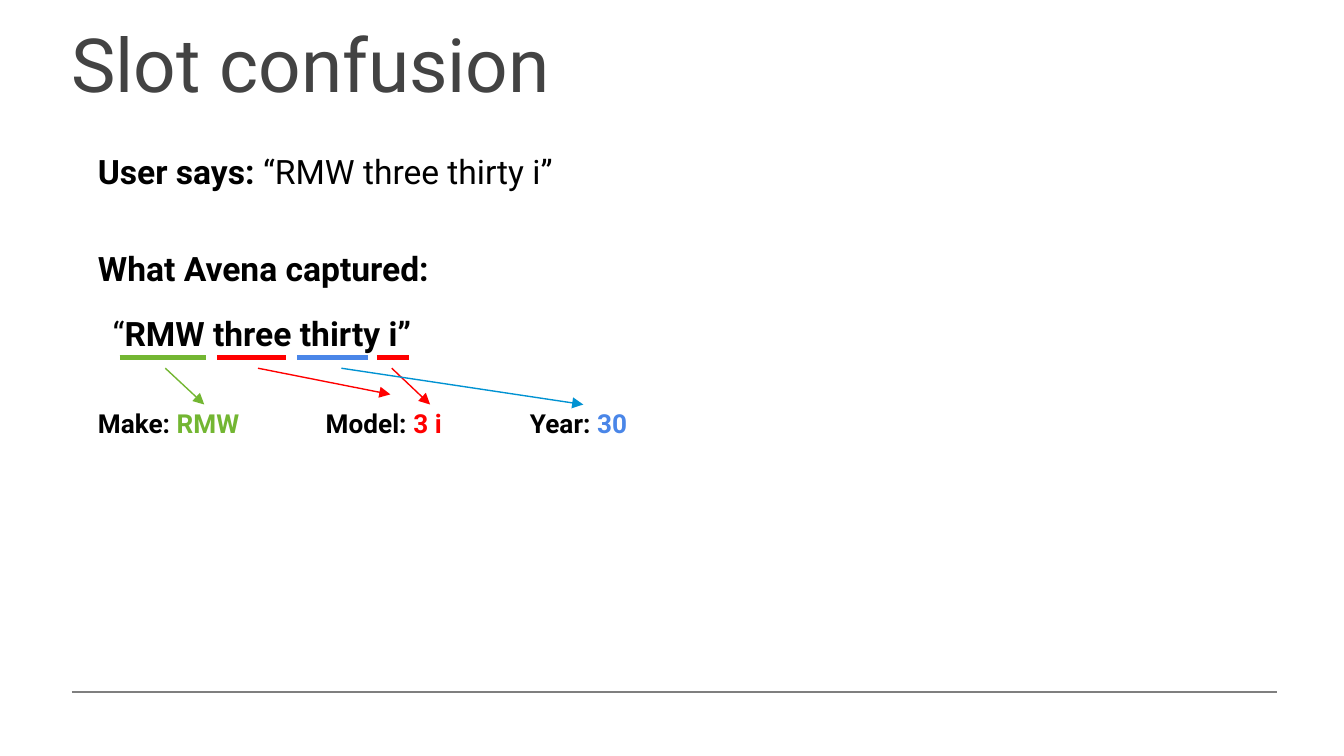
from typing import NamedTuple

import pptx
import pptx.dml.color
import pptx.enum.shapes
import pptx.enum.text
import pptx.oxml.ns
import pptx.util

PX = 4572  # EMU per px, 200 px to the inch
FONT = "Roboto"
BLACK, GREEN, RED, BLUE = "000000", "73B632", "FF0000", "4A86E8"
CYAN, TITLE_GREY, RULE_GREY = "0092D2", "434343", "7F7F7F"


class Run(NamedTuple):
    text: str
    bold: bool = True
    color: str = BLACK


class Label(NamedTuple):
    left: int
    top: int
    width: int
    height: int
    size: int
    runs: list[Run]
    inset_y: int = 20
    anchor: pptx.enum.text.MSO_ANCHOR = pptx.enum.text.MSO_ANCHOR.TOP


class Line(NamedTuple):
    x1: int
    y1: int
    x2: int
    y2: int
    color: str
    weight: float = 0.75
    arrow: bool = False


def px(length: int) -> int:
    return length * PX


def rgb(color: str) -> pptx.dml.color.RGBColor:
    return pptx.dml.color.RGBColor.from_string(color)


def draw_label(slide, label: Label) -> None:
    box = slide.shapes.add_textbox(
        px(label.left), px(label.top), px(label.width), px(label.height))
    frame = box.text_frame
    frame.word_wrap = True
    frame.vertical_anchor = label.anchor
    frame.margin_left = frame.margin_right = px(20)
    frame.margin_top = frame.margin_bottom = px(label.inset_y)
    for part in label.runs:
        run = frame.paragraphs[0].add_run()
        run.text = part.text
        run.font.name = FONT
        run.font.size = pptx.util.Pt(label.size)
        run.font.bold = part.bold
        run.font.color.rgb = rgb(part.color)


def draw_line(slide, line: Line) -> None:
    connector = slide.shapes.add_connector(
        pptx.enum.shapes.MSO_CONNECTOR.STRAIGHT,
        px(line.x1), px(line.y1), px(line.x2), px(line.y2))
    connector.line.color.rgb = rgb(line.color)
    connector.line.width = pptx.util.Pt(line.weight)
    if line.arrow:
        outline = connector.line._get_or_add_ln()
        outline.append(outline.makeelement(
            pptx.oxml.ns.qn("a:tailEnd"), {"type": "triangle"}))
    properties = connector._element.spPr
    properties.append(properties.makeelement(pptx.oxml.ns.qn("a:effectLst"), {}))


def main() -> None:
    deck = pptx.Presentation()
    deck.slide_width, deck.slide_height = px(2000), px(1125)
    slide = deck.slides.add_slide(deck.slide_layouts[6])

    # Footer rule and title
    draw_line(slide, Line(107, 1030, 1900, 1030, RULE_GREY))
    draw_label(slide, Label(
        87, 46, 1814, 124, 40, [Run("Slot confusion", False, TITLE_GREY)],
        inset_y=10, anchor=pptx.enum.text.MSO_ANCHOR.BOTTOM))

    # Utterance, and how it was heard
    utterance = "RMW three thirty i”"
    draw_label(slide, Label(126, 204, 828, 110, 18, [
        Run("User says:"), Run(" “" + utterance, False)]))
    draw_label(slide, Label(126, 349, 656, 96, 18, [Run("What Avena captured:")]))
    draw_label(slide, Label(148, 446, 828, 110, 18, [
        Run("“", False), Run(utterance)]))

    # Captured slots
    for left, width, slot, value, color in [
        (126, 296, "Make: ", "RMW", GREEN),
        (465, 232, "Model:", " 3 i", RED),
        (769, 256, "Year: ", "30", BLUE),
    ]:
        draw_label(slide, Label(left, 587, width, 74, 14, [
            Run(slot), Run(value, color=color)]))

    # Underlines below the words
    for start, end, color in [
        (178, 306, GREEN), (323, 426, RED), (442, 548, BLUE), (561, 608, RED),
    ]:
        draw_line(slide, Line(start, 532, end, 532, color, weight=3))

    # Arrows from words to slots
    for word_x, slot_x, slot_y, color in [
        (246, 304, 602, GREEN), (583, 640, 602, RED),
        (384, 581, 587, RED), (508, 868, 602, CYAN),
    ]:
        draw_line(slide, Line(word_x, 548, slot_x, slot_y, color, arrow=True))

    deck.save("out.pptx")


if __name__ == "__main__":
    main()
